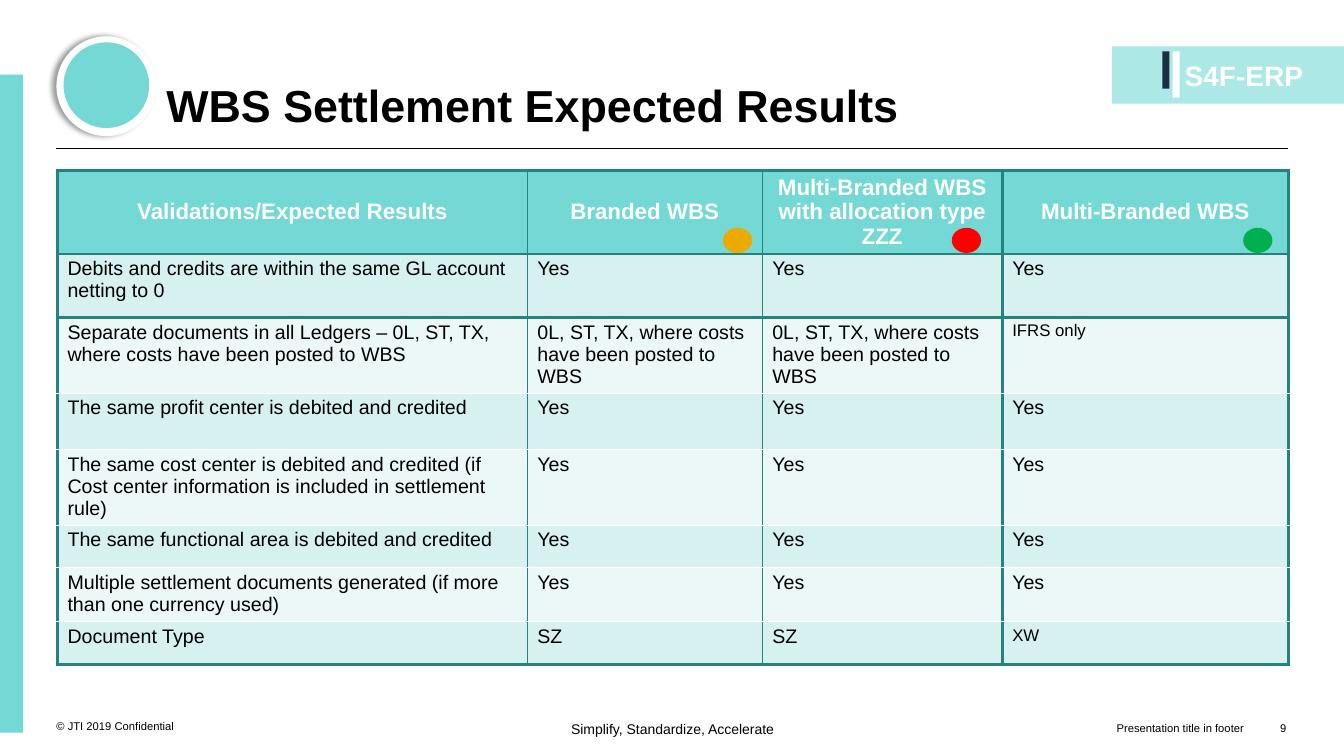
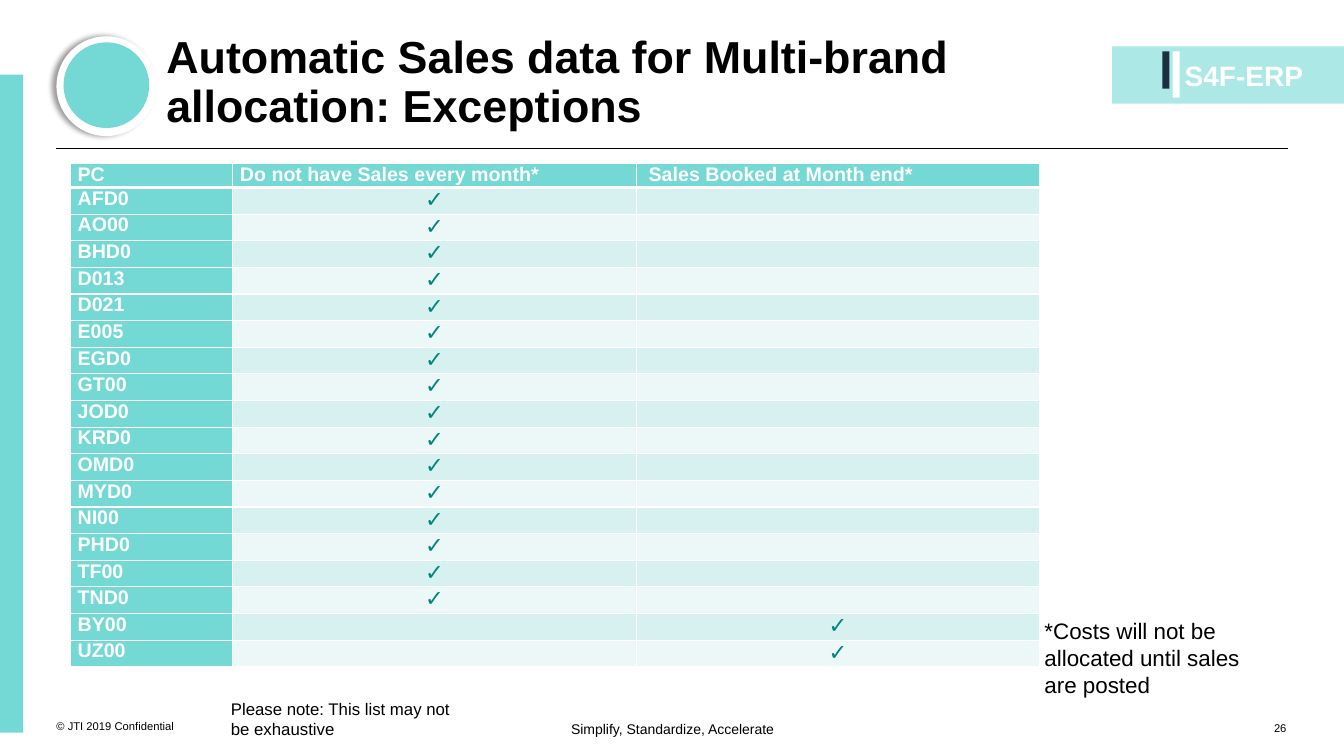
from lxml.etree import SubElement
from pptx import Presentation
from pptx.dml.color import RGBColor
from pptx.enum.shapes import MSO_CONNECTOR as Connector, MSO_SHAPE as Shape
from pptx.enum.text import MSO_ANCHOR as Anchor, PP_ALIGN as Align
from pptx.oxml.ns import qn
from pptx.util import Inches, Pt

FONT = "Arial"
COLORS = {
    "teal": "74D9D5",
    "pale_teal": "ACE8E6",
    "dark_teal": "24837F",
    "check": "00857F",
    "band_dark": "D6F1EF",
    "band_light": "EBF8F7",
    "navy": "1A3040",
    "white": "FFFFFF",
    "black": "000000",
    "amber": "EAAA00",
    "red": "FF0000",
    "green": "00B050",
}
BANDS = ("band_dark", "band_light")
CHECK = "✓"

# Settlement table
SETTLEMENT_WIDTHS = (4.66, 2.33, 2.38, 2.84)
SETTLEMENT_HEIGHTS = (0.83, 0.63, 0.75, 0.56, 0.75, 0.42, 0.54, 0.42)
SETTLEMENT_HEADER = (
    "Validations/Expected Results",
    "Branded WBS",
    "Multi-Branded WBS with allocation type ZZZ",
    "Multi-Branded WBS",
)
LEDGERS = "0L, ST, TX, where costs have been posted to WBS"
ALL_YES = ("Yes",) * 3
SETTLEMENT_ROWS = (
    ("Debits and credits are within the same GL account netting to 0", *ALL_YES),
    ("Separate documents in all Ledgers – 0L, ST, TX, where costs have been "
     "posted to WBS", LEDGERS, LEDGERS, "IFRS only"),
    ("The same profit center is debited and credited", *ALL_YES),
    ("The same cost center is debited and credited (if Cost center information "
     "is included in settlement rule)", *ALL_YES),
    ("The same functional area is debited and credited", *ALL_YES),
    ("Multiple settlement documents generated (if more than one currency used)",
     *ALL_YES),
    ("Document Type", "SZ", "SZ", "XW"),
)
SMALL_ENTRIES = ("IFRS only", "XW")
STATUS_DOTS = ((7.17, "amber"), (9.44, "red"), (12.33, "green"))

# Exceptions table
EXCEPTION_WIDTHS = (1.61, 4, 4)
EXCEPTION_BODY_HEIGHT = 4.76
EXCEPTION_HEADER = ("PC", "Do not have Sales every month*",
                    " Sales Booked at Month end*")
NOT_MONTHLY = ("AFD0", "AO00", "BHD0", "D013", "D021", "E005", "EGD0", "GT00",
               "JOD0", "KRD0", "OMD0", "MYD0", "NI00", "PHD0", "TF00", "TND0")
MONTH_END = ("BY00", "UZ00")


def color(name):
    return RGBColor.from_string(COLORS[name])


def write(frame, text, size=14, fill="black", bold=False, align=Align.LEFT,
          spacing=None):
    """Put one formatted paragraph into a text frame."""
    paragraph = frame.paragraphs[0]
    paragraph.alignment = align
    if spacing:
        paragraph.line_spacing = spacing
    if not text:
        # An empty cell still needs a text size, or its row grows
        SubElement(paragraph._p, qn("a:endParaRPr"), sz=str(size * 100))
        return
    run = paragraph.add_run()
    run.text = text
    run.font.name = FONT
    run.font.size = Pt(size)
    run.font.bold = bold
    run.font.color.rgb = color(fill)


def add_text(slide, box, text, anchor=Anchor.TOP, **text_format):
    frame = slide.shapes.add_textbox(*map(Inches, box)).text_frame
    frame.word_wrap = True
    frame.vertical_anchor = anchor
    frame.margin_left = frame.margin_right = 0
    frame.margin_top = frame.margin_bottom = 0
    write(frame, text, **text_format)


def add_block(slide, kind, box, fill):
    shape = slide.shapes.add_shape(kind, *map(Inches, box))
    shape.shadow.inherit = False
    shape.fill.solid()
    shape.fill.fore_color.rgb = color(fill)
    shape.line.fill.background()
    return shape


def add_left_shadow(shape):
    effects = shape._element.spPr.find(qn("a:effectLst"))
    shadow = SubElement(effects, qn("a:outerShdw"), blurRad=str(Pt(4)),
                        dist=str(Pt(3)), dir="10800000", rotWithShape="0")
    shade = SubElement(shadow, qn("a:srgbClr"), val=COLORS["black"])
    SubElement(shade, qn("a:alpha"), val="40000")


def add_rule(slide, left, right, top):
    line = slide.shapes.add_connector(
        Connector.STRAIGHT, *map(Inches, (left, top, right, top)))
    line.line.color.rgb = color("black")
    line.line.width = Pt(0.75)
    SubElement(line._element.spPr, qn("a:effectLst"))


def set_borders(cell, **edges):
    """Draw the edges L, R, T and B, each a (colour, points) pair."""
    properties = cell._tc.get_or_add_tcPr()
    for side in "LRTB":
        name, width = edges[side]
        line = SubElement(properties, qn(f"a:ln{side}"), w=str(Pt(width)))
        solid = SubElement(line, qn("a:solidFill"))
        SubElement(solid, qn("a:srgbClr"), val=COLORS[name])


def add_grid(slide, left, top, widths, heights, rows, columns_edges, rows_edges,
             style_cell):
    """Add a table; style_cell gives fill, anchor, margins and text format."""
    box = map(Inches, (left, top, sum(widths), sum(heights)))
    table = slide.shapes.add_table(len(rows), len(widths), *box).table
    table.horz_banding = False
    for column, width in zip(table.columns, widths):
        column.width = Inches(width)
    for row, height in zip(table.rows, heights):
        row.height = Inches(height)
    for i, texts in enumerate(rows):
        for j, text in enumerate(texts):
            cell = table.cell(i, j)
            fill, anchor, margins, text_format = style_cell(i, j, text)
            side, above, below = map(Inches, margins)
            set_borders(cell, L=columns_edges[j], R=columns_edges[j + 1],
                        T=rows_edges[i], B=rows_edges[i + 1])
            cell.fill.solid()
            cell.fill.fore_color.rgb = color(fill)
            cell.vertical_anchor = anchor
            cell.margin_left = cell.margin_right = side
            cell.margin_top, cell.margin_bottom = above, below
            write(cell.text_frame, text, **text_format)


def add_base(presentation, title, number):
    """Start a slide with the shared bands, badge, title and footer."""
    slide = presentation.slides.add_slide(presentation.slide_layouts[6])
    # Footer and rule under the title
    add_text(slide, (0.56, 6.87, 1.97, 0.4), "© JTI 2019 Confidential",
             anchor=Anchor.BOTTOM, size=8)
    add_rule(slide, 0.56, 12.77, 1.47)
    add_text(slide, (5.14, 7.15, 3.06, 0.3), "Simplify, Standardize, Accelerate",
             size=10, align=Align.CENTER)
    add_text(slide, (12.33, 6.89, 0.43, 0.4), str(number),
             anchor=Anchor.BOTTOM, size=8, align=Align.RIGHT)
    # Project tag
    add_block(slide, Shape.RECTANGLE, (11.03, 0.46, 2.3, 0.57), "pale_teal")
    add_block(slide, Shape.RECTANGLE, (11.53, 0.51, 0.07, 0.37), "navy")
    bar = add_block(slide, Shape.ROUNDED_RECTANGLE, (11.63, 0.51, 0.07, 0.46),
                    "white")
    bar.adjustments[0] = 0.07
    add_text(slide, (11.75, 0.58, 1.25, 0.5), "S4F-ERP", size=20, fill="white",
             bold=True)
    # Side band and round badge
    add_block(slide, Shape.RECTANGLE, (0, 0.74, 0.23, 6.53), "teal")
    add_left_shadow(
        add_block(slide, Shape.OVAL, (0.56, 0.36, 0.99, 0.99), "white"))
    add_block(slide, Shape.OVAL, (0.63, 0.42, 0.85, 0.85), "teal")
    # Title
    add_text(slide, (1.65, 0.23, 9.2, 1.08), title, anchor=Anchor.BOTTOM,
             size=32, bold=True, spacing=0.9)
    return slide


def style_settlement(i, j, text):
    if i == 0:
        header = dict(size=16, fill="white", bold=True, align=Align.CENTER)
        return "teal", Anchor.MIDDLE, (0.1, 0.01, 0.01), header
    size = 12 if text in SMALL_ENTRIES else 14
    return BANDS[(i - 1) % 2], Anchor.TOP, (0.1, 0.04, 0), dict(size=size)


def style_exception(i, j, text):
    margins = (0.07, 0, 0)
    if i == 0 or j == 0:
        label = dict(size=14, fill="white", bold=True)
        return "teal", Anchor.TOP, margins, label
    # Tight lines keep the marks within their rows
    mark = dict(size=16 if text else 10, fill="check", bold=True,
                align=Align.CENTER, spacing=0.9)
    return BANDS[(i - 1) % 2], Anchor.MIDDLE, margins, mark


def build_settlement(presentation):
    slide = add_base(presentation, "WBS Settlement Expected Results", 9)
    add_text(slide, (7.74, 6.89, 4.6, 0.4), "Presentation title in footer",
             anchor=Anchor.BOTTOM, size=8, align=Align.RIGHT)
    thick, thin, white = ("dark_teal", 2.25), ("dark_teal", 1), ("white", 1)
    add_grid(slide, 0.57, 1.69, SETTLEMENT_WIDTHS, SETTLEMENT_HEIGHTS,
             (SETTLEMENT_HEADER, *SETTLEMENT_ROWS),
             [thick, thin, thin, thick, thick],
             [thick] * 3 + [white] * 5 + [thick], style_settlement)
    for left, fill in STATUS_DOTS:
        add_block(slide, Shape.OVAL, (left, 2.26, 0.29, 0.25), fill)


def build_exceptions(presentation):
    slide = add_base(presentation, "Automatic Sales data for Multi-brand "
                     "allocation: Exceptions", 26)
    body = [(code, CHECK, "") for code in NOT_MONTHLY]
    body += [(code, "", CHECK) for code in MONTH_END]
    white = ("white", 1)
    heights = [0.24] + [EXCEPTION_BODY_HEIGHT / len(body)] * len(body)
    add_grid(slide, 0.7, 1.62, EXCEPTION_WIDTHS, heights,
             [EXCEPTION_HEADER] + body, [white] * 4,
             [white, ("white", 3)] + [white] * len(body), style_exception)
    add_text(slide, (10.36, 6.12, 2.3, 0.88),
             "*Costs will not be allocated until sales are posted", size=16)
    add_text(slide, (2.29, 6.93, 2.4, 0.4),
             "Please note: This list may not be exhaustive", size=12)


def main():
    presentation = Presentation()
    presentation.slide_width = Inches(13.33)
    presentation.slide_height = Inches(7.5)
    build_settlement(presentation)
    build_exceptions(presentation)
    presentation.save("out.pptx")


if __name__ == "__main__":
    main()
